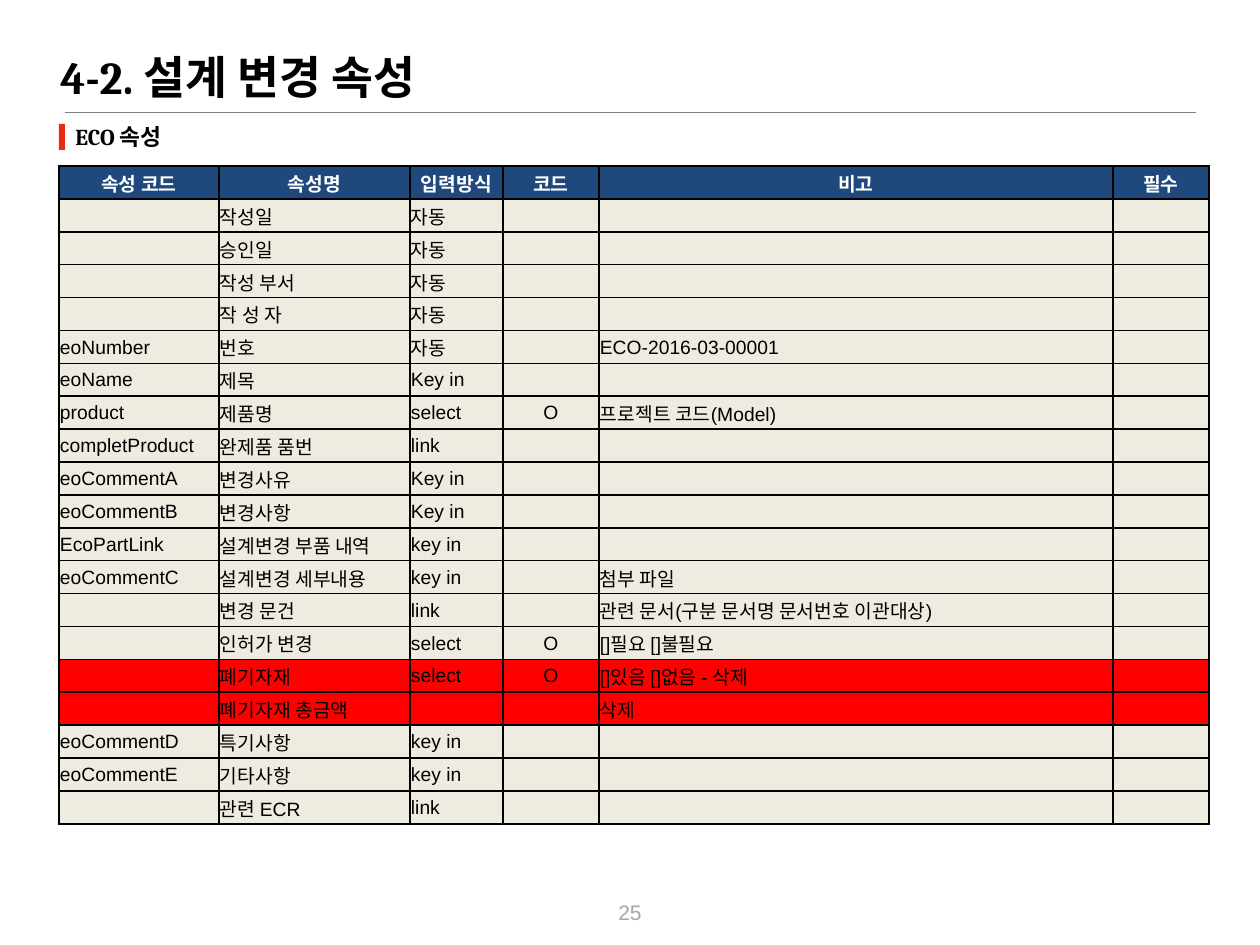
import dataclasses

import lxml.etree
import pptx
import pptx.dml.color
import pptx.enum.shapes
import pptx.enum.text
import pptx.oxml.ns
import pptx.util

ALIGN = pptx.enum.text.PP_ALIGN
ANCHOR = pptx.enum.text.MSO_ANCHOR
EMU_PER_PX = 914400 / 126

HEADINGS = ["속성 코드", "속성명", "입력방식", "코드", "비고", "필수"]
ATTRIBUTES = [
    ["", "작성일", "자동", "", ""],
    ["", "승인일", "자동", "", ""],
    ["", "작성 부서", "자동", "", ""],
    ["", "작 성 자", "자동", "", ""],
    ["eoNumber", "번호", "자동", "", "ECO-2016-03-00001"],
    ["eoName", "제목", "Key in", "", ""],
    ["product", "제품명", "select", "O", "프로젝트 코드(Model)"],
    ["completProduct", "완제품 품번", "link", "", ""],
    ["eoCommentA", "변경사유", "Key in", "", ""],
    ["eoCommentB", "변경사항", "Key in", "", ""],
    ["EcoPartLink", "설계변경 부품 내역", "key in", "", ""],
    ["eoCommentC", "설계변경 세부내용", "key in", "", "첨부 파일"],
    ["", "변경 문건", "link", "", "관련 문서(구분 문서명 문서번호 이관대상)"],
    ["", "인허가 변경", "select", "O", "[]필요 []불필요"],
    ["", "폐기자재", "select", "O", "[]있음 []없음 - 삭제"],
    ["", "폐기자재 총금액", "", "", "삭제"],
    ["eoCommentD", "특기사항", "key in", "", ""],
    ["eoCommentE", "기타사항", "key in", "", ""],
    ["", "관련 ECR", "link", "", ""],
]
CODE_COLUMN = HEADINGS.index("코드")
COLUMN_WIDTHS = [160, 191, 93, 96, 514, 96]
TABLE_HEIGHT = 658


@dataclasses.dataclass(frozen=True)
class Theme:
    heading_font: str = "Cambria"
    body_font: str = "Arial"
    ink: str = "000000"
    white: str = "FFFFFF"
    muted: str = "A6A6A6"
    rule: str = "7F7F7F"
    accent: str = "E52D13"
    header: str = "1F497D"
    row: str = "EEECE1"
    deleted: str = "FF0000"
    title_size: int = 26
    section_size: int = 13
    page_size: int = 12
    table_size: int = 11


def px(length):
    return pptx.util.Emu(round(length * EMU_PER_PX))


def rgb(value):
    return pptx.dml.color.RGBColor.from_string(value)


class SlideBuilder:
    def __init__(self, slide, theme):
        self.slide = slide
        self.theme = theme

    def style(self, paragraph, font, size, color, bold=False, align=ALIGN.LEFT):
        paragraph.alignment = align
        for run in paragraph.runs:
            run.font.name = font
            run.font.size = pptx.util.Pt(size)
            run.font.bold = bold
            run.font.color.rgb = rgb(color)

    def text(self, left, top, width, height, wording, anchor=ANCHOR.TOP, **style):
        box = self.slide.shapes.add_textbox(px(left), px(top), px(width), px(height))
        frame = box.text_frame
        frame.word_wrap = True
        frame.vertical_anchor = anchor
        frame.text = wording
        self.style(frame.paragraphs[0], **style)

    def rule(self, left, right, y):
        line = self.slide.shapes.add_connector(
            pptx.enum.shapes.MSO_CONNECTOR.STRAIGHT, px(left), px(y), px(right), px(y))
        line.line.color.rgb = rgb(self.theme.rule)
        line.line.width = pptx.util.Pt(0.5)
        lxml.etree.SubElement(line._element.spPr, pptx.oxml.ns.qn("a:effectLst"))

    def marker(self, left, top, width, height):
        bar = self.slide.shapes.add_shape(
            pptx.enum.shapes.MSO_SHAPE.RECTANGLE, px(left), px(top), px(width), px(height))
        bar.shadow.inherit = False
        bar.fill.solid()
        bar.fill.fore_color.rgb = rgb(self.theme.accent)
        bar.line.fill.background()

    def border(self, cell):
        properties = cell._tc.get_or_add_tcPr()
        qn = pptx.oxml.ns.qn
        for side in ("a:lnL", "a:lnR", "a:lnT", "a:lnB"):
            edge = lxml.etree.SubElement(properties, qn(side), w=str(pptx.util.Pt(1)))
            fill = lxml.etree.SubElement(edge, qn("a:solidFill"))
            lxml.etree.SubElement(fill, qn("a:srgbClr"), val=self.theme.ink)

    def cell(self, cell, wording, fill, color, bold, align):
        cell.margin_left = cell.margin_right = cell.margin_top = px(1)
        cell.margin_bottom = 0
        cell.vertical_anchor = ANCHOR.MIDDLE
        self.border(cell)
        cell.fill.solid()
        cell.fill.fore_color.rgb = rgb(fill)
        paragraph = cell.text_frame.paragraphs[0]
        if wording:
            paragraph.text = wording
        else:  # an empty cell must not push its row taller
            end = paragraph._p.get_or_add_endParaRPr()
            end.set("sz", str(self.theme.table_size * 100))
        self.style(paragraph, self.theme.body_font, self.theme.table_size, color, bold, align)

    def table(self, left, top, widths, height, headings, records):
        theme = self.theme
        count = len(records) + 1
        table = self.slide.shapes.add_table(
            count, len(headings), px(left), px(top), px(sum(widths)), px(height)).table
        table.horz_banding = False
        for column, width in zip(table.columns, widths):
            column.width = px(width)
        for row in table.rows:
            row.height = px(height / count)
        for index, heading in enumerate(headings):
            self.cell(table.cell(0, index), heading, theme.header, theme.white,
                      True, ALIGN.CENTER)
        for number, record in enumerate(records, 1):
            fill = theme.deleted if record[1].startswith("폐기자재") else theme.row
            for index, wording in enumerate(record + [""]):
                align = ALIGN.CENTER if index == CODE_COLUMN else ALIGN.LEFT
                self.cell(table.cell(number, index), wording, fill, theme.ink, False, align)


def main():
    deck = pptx.Presentation()
    deck.slide_width, deck.slide_height = px(1260), px(945)
    theme = Theme()
    page = SlideBuilder(deck.slides.add_slide(deck.slide_layouts[6]), theme)

    page.text(585, 887, 90, 50, "25", anchor=ANCHOR.MIDDLE, font=theme.body_font,
              size=theme.page_size, color=theme.muted, align=ALIGN.CENTER)
    page.rule(65, 1196, 112)
    page.text(48, 43, 914, 77, "4-2. 설계 변경 속성", font=theme.heading_font,
              size=theme.title_size, color=theme.ink, bold=True)
    page.text(63, 117, 951, 40, "ECO 속성", font=theme.heading_font,
              size=theme.section_size, color=theme.ink, bold=True)
    page.marker(59, 124, 6, 26)
    page.table(59, 166, COLUMN_WIDTHS, TABLE_HEIGHT, HEADINGS, ATTRIBUTES)
    deck.save("out.pptx")


if __name__ == "__main__":
    main()
